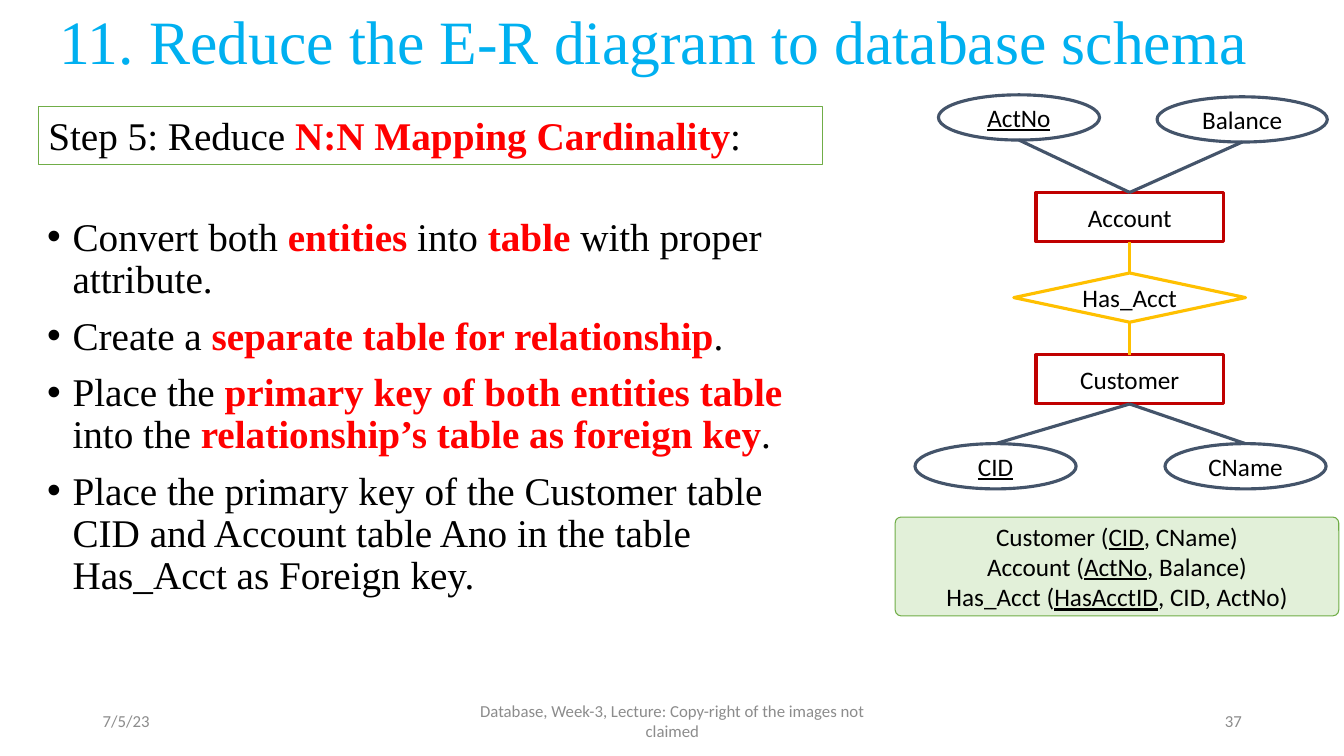
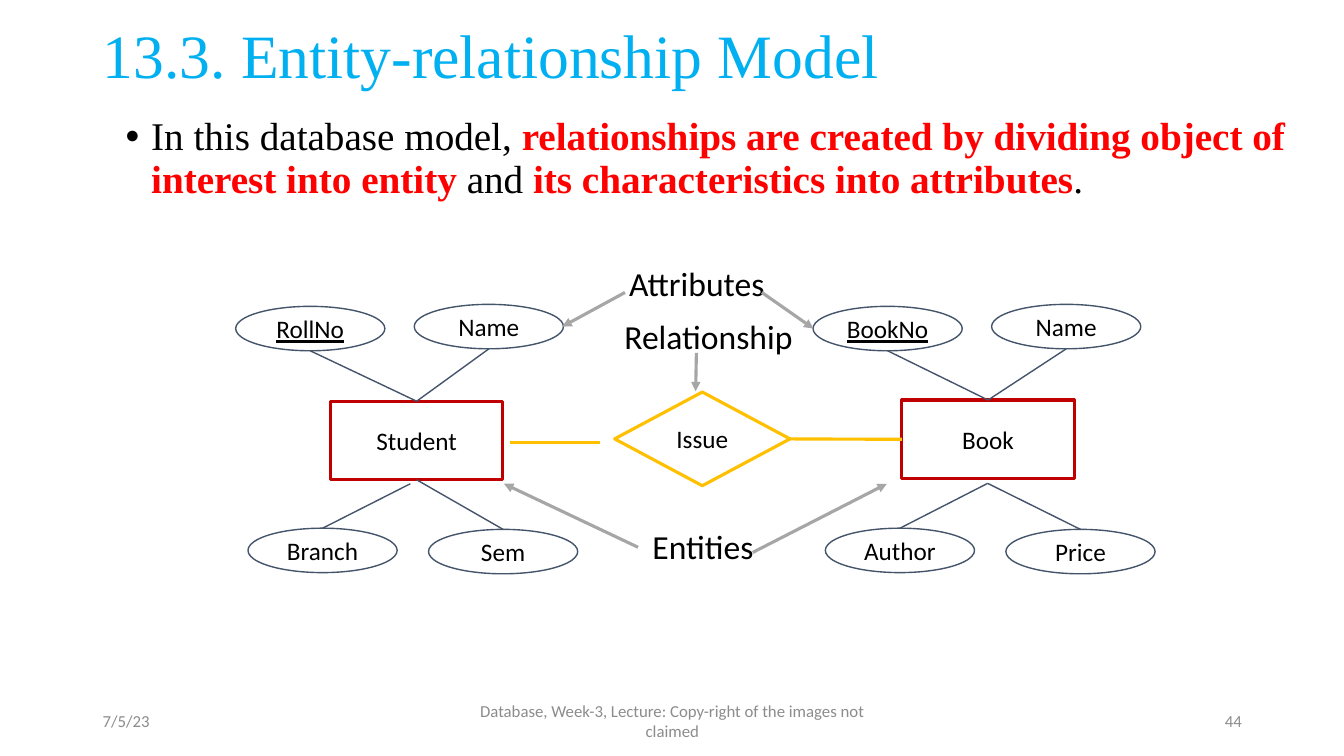
from lxml import etree
from pptx import Presentation
from pptx.dml.color import RGBColor
from pptx.enum.shapes import MSO_CONNECTOR, MSO_SHAPE
from pptx.enum.text import MSO_ANCHOR, PP_ALIGN
from pptx.oxml.ns import qn
from pptx.util import Cm, Pt

# Palette and fonts
BLACK = RGBColor(0x00, 0x00, 0x00)
WHITE = RGBColor(0xFF, 0xFF, 0xFF)
RED = RGBColor(0xFF, 0x00, 0x00)
SKY = RGBColor(0x00, 0xB0, 0xF0)
GREY = RGBColor(0x8C, 0x8C, 0x8C)
ARROW_GREY = RGBColor(0xA6, 0xA6, 0xA6)
NAVY = RGBColor(0x44, 0x54, 0x6A)
CRIMSON = RGBColor(0xC0, 0x00, 0x00)
GOLD = RGBColor(0xFF, 0xC0, 0x00)
GREEN = RGBColor(0x70, 0xAD, 0x47)
PALE_GREEN = RGBColor(0xE2, 0xF0, 0xD9)
SERIF, SANS = "Times New Roman", "Calibri"

# Sides of a shape
TOP, LEFT, BOTTOM, RIGHT = range(4)


# Text
def add_runs(p, text, font, size, color=BLACK, underline=False):
    """Parts between bars are emphasised: underlined, or else bold red."""
    for i, part in enumerate(text.split("|")):
        if not part:
            continue
        r = p.add_run()
        r.text = part
        r.font.name, r.font.size = font, Pt(size)
        r.font.color.rgb = color
        if i % 2 and underline:
            r.font.underline = True
        elif i % 2:
            r.font.bold = True
            r.font.color.rgb = RED


def write(tf, lines, font, size, color=BLACK, align=PP_ALIGN.CENTER,
          anchor=MSO_ANCHOR.MIDDLE, underline=False):
    tf.word_wrap = True
    tf.vertical_anchor = anchor
    for i, line in enumerate(lines):
        p = tf.add_paragraph() if i else tf.paragraphs[0]
        p.alignment = align
        add_runs(p, line, font, size, color, underline)


def add_text(s, box, text, font, size, color=BLACK, align=PP_ALIGN.CENTER):
    tf = s.shapes.add_textbox(*map(Cm, box)).text_frame
    write(tf, [text], font, size, color, align)
    return tf


def add_bullets(s, box, lines):
    tf = s.shapes.add_textbox(*map(Cm, box)).text_frame
    write(tf, lines, SERIF, 28, align=PP_ALIGN.LEFT, anchor=MSO_ANCHOR.TOP)
    for p in tf.paragraphs:
        p.line_spacing, p.space_before = 0.9, Pt(10)
        pPr = p._p.get_or_add_pPr()
        pPr.set("marL", str(Cm(0.64)))
        pPr.set("indent", str(-Cm(0.64)))
        etree.SubElement(pPr, qn("a:buFont")).set("typeface", "Arial")
        etree.SubElement(pPr, qn("a:buChar")).set("char", "•")


# Shapes
def add_box(s, kind, box, color, width, fill=None):
    sp = s.shapes.add_shape(kind, *map(Cm, box))
    sp.shadow.inherit = False
    if fill is None:
        sp.fill.background()
    else:
        sp.fill.solid()
        sp.fill.fore_color.rgb = fill
    sp.line.color.rgb, sp.line.width = color, Pt(width)
    return sp


def add_node(s, kind, box, lines, color, width=2.25, fill=None):
    sp = add_box(s, kind, box, color, width, fill)
    tf = sp.text_frame
    tf.margin_left = tf.margin_right = tf.margin_top = tf.margin_bottom = 0
    write(tf, lines, SANS, 18, underline=True)
    return sp


def add_entity(s, box, name):
    return add_node(s, MSO_SHAPE.RECTANGLE, box, [name], CRIMSON)


def add_relationship(s, box, name):
    return add_node(s, MSO_SHAPE.DIAMOND, box, [name], GOLD)


def add_attribute(s, box, name, width=2.25):
    return add_node(s, MSO_SHAPE.OVAL, box, [name], NAVY, width, WHITE)


# Lines
def locate(end):
    """An end is a point in cm, or a shape with one of its sides."""
    if isinstance(end[0], (int, float)):
        return Cm(end[0]), Cm(end[1])
    sp, side = end
    fx, fy = [(0.5, 0), (0, 0.5), (0.5, 1), (1, 0.5)][side]
    return int(sp.left + fx * sp.width), int(sp.top + fy * sp.height)


def can_join(end):
    if isinstance(end[0], (int, float)):
        return False
    sp, side = end
    # An oval numbers its sites differently, apart from the top one
    return side == TOP or sp.auto_shape_type != MSO_SHAPE.OVAL


def add_line(s, start, stop, color, width=2.25, arrow=False):
    cxn = s.shapes.add_connector(MSO_CONNECTOR.STRAIGHT, *locate(start), *locate(stop))
    cxn.line.color.rgb, cxn.line.width = color, Pt(width)
    spPr = cxn._element.spPr
    if arrow:
        etree.SubElement(spPr.find(qn("a:ln")), qn("a:tailEnd")).set("type", "triangle")
    etree.SubElement(spPr, qn("a:effectLst"))
    if can_join(start):
        cxn.begin_connect(*start)
    if can_join(stop):
        cxn.end_connect(*stop)


# Title and footer shared by the slides
def start_slide(prs, title, title_box, number):
    s = prs.slides.add_slide(prs.slide_layouts[6])
    tf = add_text(s, title_box, title, SERIF, 44, SKY, PP_ALIGN.LEFT)
    tf.paragraphs[0].line_spacing = 0.9
    footer = [
        (2.34, 7.62, "7/5/23", PP_ALIGN.LEFT),
        (11.23, 11.43, "Database, Week-3, Lecture: Copy-right of the images not claimed",
         PP_ALIGN.CENTER),
        (23.93, 7.62, number, PP_ALIGN.RIGHT),
    ]
    for x, w, text, align in footer:
        add_text(s, (x, 17.65, w, 1.02), text, SANS, 12, GREY, align)
    return s


def build_reduction(prs):
    s = start_slide(prs, "11. Reduce the E-R diagram to database schema",
                    (1.24, -0.71, 31.37, 3.68), "37")
    add_bullets(s, (0.94, 5.36, 19.76, 12.29), [
        "Convert both |entities| into |table| with proper attribute.",
        "Create a |separate table for relationship|.",
        "Place the |primary key of both entities table |into the "
        "|relationship’s table as foreign key|.",
        "Place the primary key of the Customer table CID and Account table Ano "
        "in the table Has_Acct as Foreign key.",
    ])
    step = add_box(s, MSO_SHAPE.RECTANGLE, (0.97, 2.69, 19.76, 1.45), GREEN, 1, WHITE)
    write(step.text_frame, ["Step 5: Reduce |N:N Mapping Cardinality|:"], SERIF, 28,
          align=PP_ALIGN.LEFT, anchor=MSO_ANCHOR.TOP)

    # Diagram
    account = add_entity(s, (26.11, 4.85, 4.72, 1.24), "Account")
    customer = add_entity(s, (26.11, 8.94, 4.72, 1.24), "Customer")
    has_acct = add_relationship(s, (25.55, 6.88, 5.84, 1.24), "Has_Acct")
    add_line(s, (has_acct, TOP), (account, BOTTOM), GOLD)
    add_line(s, (has_acct, BOTTOM), (customer, TOP), GOLD)
    attributes = [
        ("|ActNo|", 23.65, 2.39, 4.06, BOTTOM, (account, TOP)),
        ("Balance", 29.16, 2.44, 4.29, BOTTOM, (account, TOP)),
        ("|CID|", 23.06, 11.18, 4.06, TOP, (customer, BOTTOM)),
        ("CName", 29.36, 11.18, 4.06, TOP, (customer, BOTTOM)),
    ]
    for name, x, y, w, side, owner in attributes:
        oval = add_attribute(s, (x, y, w, 1.14), name)
        add_line(s, (oval, side), owner, NAVY)

    # Resulting schema
    schema = add_node(s, MSO_SHAPE.ROUNDED_RECTANGLE, (22.56, 13.03, 11.18, 2.49), [
        "Customer (|CID|, CName)",
        "Account (|ActNo|, Balance)",
        "Has_Acct (|HasAcctID|, CID, ActNo)",
    ], GREEN, 0.75, PALE_GREEN)
    schema.adjustments[0] = 0.06


def add_cluster(s, name, box, dx, attributes, feet):
    """An entity with two attributes above and two below, shifted by dx."""
    entity = add_entity(s, box, name)
    spots = [(5.94, 7.72), (10.44, 7.67), (6.25, 13.31), (10.8, 13.34)]
    ends = [(entity, TOP), (entity, TOP), *(foot or (entity, BOTTOM) for foot in feet)]
    for i, (label, (x, y), end) in enumerate(zip(attributes, spots, ends)):
        oval = add_attribute(s, (x + dx, y, 3.76, 1.12), label, 1)
        add_line(s, (oval, BOTTOM if i < 2 else TOP), end, NAVY, 1)
    return entity


def build_model(prs):
    s = start_slide(prs, "13.3. Entity-relationship Model",
                    (2.34, -0.36, 29.21, 3.68), "44")
    add_bullets(s, (2.92, 2.82, 30.58, 14.86), [
        "In this database model, |relationships are created by dividing object of "
        "interest into entity |and |its characteristics into attributes|.",
    ])

    # Diagram
    add_cluster(s, "Student", (8.33, 10.11, 4.34, 1.98), 0,
                ["|RollNo|", "Name", "Branch", "Sem"], [(10.34, 12.19), None])
    book = add_cluster(s, "Book", (22.73, 10.08, 4.34, 1.98), 14.55,
                       ["|BookNo|", "Name", "Author", "Price"], [(24.89, 12.18)] * 2)
    issue = add_relationship(s, (15.49, 9.88, 4.42, 2.36), "Issue")
    add_line(s, (issue, RIGHT), (book, LEFT), GOLD)
    add_line(s, (12.85, 11.15), (15.11, 11.15), GOLD)

    # Labels with their arrows
    labels = [
        ("Entities", (15.9, 13.16, 3.63, 1.22),
         [((18.97, 13.92), (22.35, 12.19)), ((16.08, 13.79), (12.7, 12.19))]),
        ("Attributes", (15.44, 6.35, 4.24, 1.57),
         [((19.2, 7.37), (20.5, 8.28)), ((15.75, 7.37), (14.17, 8.23))]),
        ("Relationship", (15.34, 7.87, 5.03, 1.22), [((17.55, 8.89), (17.53, 9.86))]),
    ]
    for text, box, arrows in labels:
        add_text(s, box, text, SANS, 24)
        for start, stop in arrows:
            add_line(s, start, stop, ARROW_GREY, arrow=True)


def main():
    prs = Presentation()
    prs.slide_width, prs.slide_height = Cm(33.87), Cm(19.05)
    build_reduction(prs)
    build_model(prs)
    prs.save("out.pptx")


if __name__ == "__main__":
    main()
